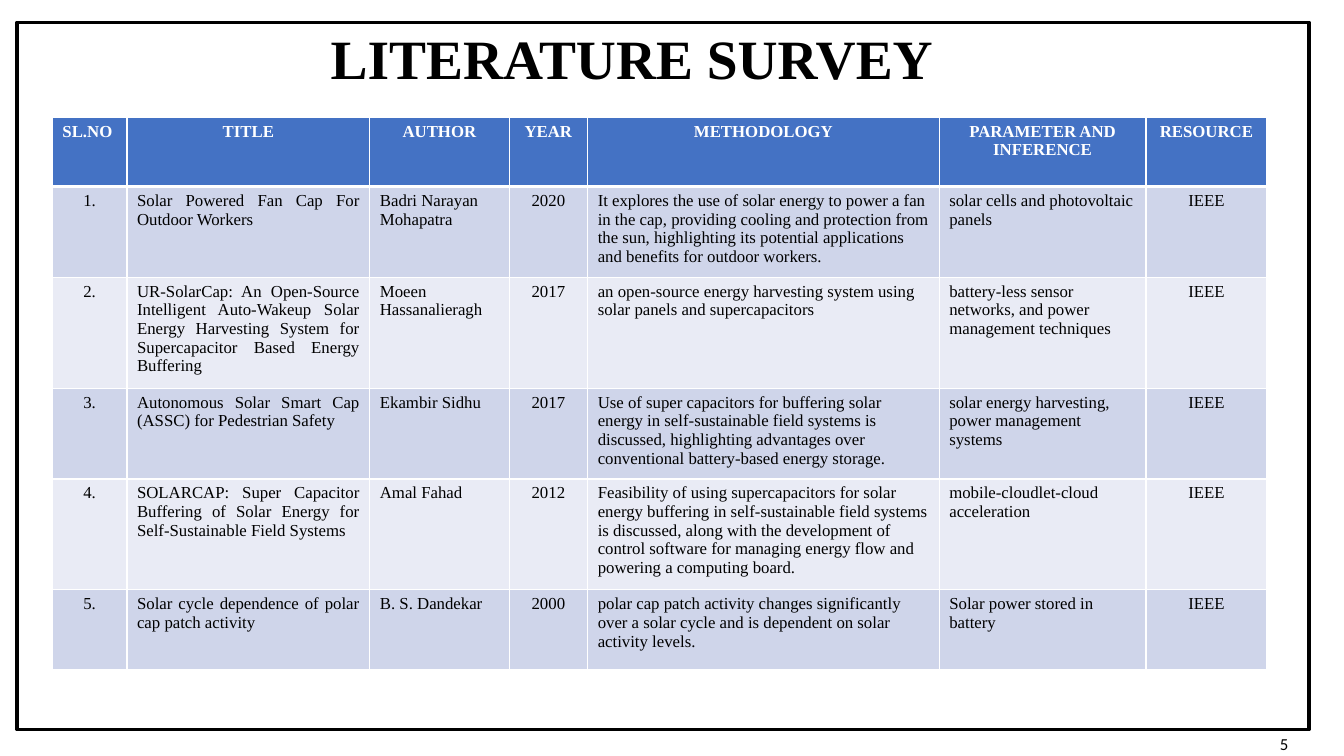
"""Build the literature survey slide with its framed table of papers."""
from dataclasses import astuple, dataclass

from lxml.etree import SubElement
from pptx import Presentation
from pptx.dml.color import RGBColor
from pptx.enum.shapes import MSO_SHAPE
from pptx.enum.text import MSO_ANCHOR, PP_ALIGN
from pptx.oxml.ns import qn
from pptx.slide import Slide
from pptx.table import _Cell
from pptx.text.text import TextFrame
from pptx.util import Cm, Pt

COLOURS = {
    "ink": "000000",
    "paper": "FFFFFF",
    "header": "4472C4",
    "odd": "CFD5EA",
    "even": "E9EBF5",
}
SERIF = "Times New Roman"
TITLE_FONT = {"name": SERIF, "size": Pt(39.6), "bold": True}
HEADER_FONT = {"name": SERIF, "size": Pt(12), "bold": True}
BODY_FONT = {"name": SERIF, "size": Pt(12), "bold": False}
NUMBER_FONT = {"name": "Calibri", "size": Pt(12), "bold": False}


@dataclass
class Column:
    heading: str
    width: float
    body_align: PP_ALIGN
    heading_align: PP_ALIGN = PP_ALIGN.CENTER


@dataclass
class Paper:
    number: str
    title: str
    author: str
    year: str
    methodology: str
    inference: str
    resource: str = "IEEE"


@dataclass
class Label:
    text: str
    left: float
    top: float
    width: float
    height: float
    align: PP_ALIGN
    font: dict
    line_spacing: float = 1.0


COLUMNS = [
    Column("SL.NO", 1.88, PP_ALIGN.CENTER, PP_ALIGN.LEFT),
    Column("TITLE", 6.12, PP_ALIGN.JUSTIFY),
    Column("AUTHOR", 3.51, PP_ALIGN.LEFT),
    Column("YEAR", 1.98, PP_ALIGN.CENTER),
    Column("METHODOLOGY", 8.86, PP_ALIGN.LEFT),
    Column("PARAMETER AND INFERENCE", 5.21, PP_ALIGN.LEFT),
    Column("RESOURCE", 3.05, PP_ALIGN.CENTER),
]
PAPERS = [
    Paper("1.", "Solar Powered Fan Cap For Outdoor Workers",
          "Badri Narayan Mohapatra", "2020",
          "It explores the use of solar energy to power a fan in the cap, "
          "providing cooling and protection from the sun, highlighting its "
          "potential applications and benefits for outdoor workers.",
          "solar cells and photovoltaic panels"),
    Paper("2.", "UR-SolarCap: An Open-Source Intelligent Auto-Wakeup Solar "
          "Energy Harvesting System for Supercapacitor Based Energy Buffering",
          "Moeen Hassanalieragh", "2017",
          "an open-source energy harvesting system using solar panels and "
          "supercapacitors",
          "battery-less sensor networks, and power management techniques"),
    Paper("3.", "Autonomous Solar Smart Cap (ASSC) for Pedestrian Safety",
          "Ekambir Sidhu", "2017",
          "Use of super capacitors for buffering solar energy in "
          "self-sustainable field systems is discussed, highlighting "
          "advantages over conventional battery-based energy storage.",
          "solar energy harvesting, power management systems"),
    Paper("4.", "SOLARCAP: Super Capacitor Buffering of Solar Energy for "
          "Self-Sustainable Field Systems",
          "Amal Fahad", "2012",
          "Feasibility of using supercapacitors for solar energy buffering in "
          "self-sustainable field systems is discussed, along with the "
          "development of control software for managing energy flow and "
          "powering a computing board.",
          "mobile-cloudlet-cloud acceleration"),
    Paper("5.", "Solar cycle dependence of polar cap patch activity",
          "B. S. Dandekar", "2000",
          "polar cap patch activity changes significantly over a solar cycle "
          "and is dependent on solar activity levels.",
          "Solar power stored in battery"),
]
LABELS = [
    Label("LITERATURE SURVEY", 1.32, 0.79, 29.21, 1.5, PP_ALIGN.CENTER, TITLE_FONT, 0.9),
    Label("5", 25.1, 18.42, 7.62, 0.66, PP_ALIGN.RIGHT, NUMBER_FONT),
]


def colour(name: str) -> RGBColor:
    return RGBColor.from_string(COLOURS[name])


def write(frame: TextFrame, text: str, align: PP_ALIGN, font: dict, ink: str = "ink") -> None:
    paragraph = frame.paragraphs[0]
    paragraph.alignment = align
    run = paragraph.add_run()
    run.text = text
    for attribute, value in font.items():
        setattr(run.font, attribute, value)
    run.font.color.rgb = colour(ink)


def add_label(slide: Slide, label: Label) -> None:
    box = slide.shapes.add_textbox(
        Cm(label.left), Cm(label.top), Cm(label.width), Cm(label.height))
    frame = box.text_frame
    frame.word_wrap = True
    frame.vertical_anchor = MSO_ANCHOR.MIDDLE
    write(frame, label.text, label.align, label.font)
    frame.paragraphs[0].line_spacing = label.line_spacing


def add_frame(slide: Slide) -> None:
    frame = slide.shapes.add_shape(
        MSO_SHAPE.RECTANGLE, Cm(0.43), Cm(0.56), Cm(32.56), Cm(17.83))
    frame.shadow.inherit = False
    frame.fill.background()
    frame.line.color.rgb = colour("ink")
    frame.line.width = Pt(2.25)


def add_borders(cell: _Cell, top: float, bottom: float) -> None:
    properties = cell._tc.get_or_add_tcPr()
    for side, points in {"L": 1, "R": 1, "T": top, "B": bottom}.items():
        border = SubElement(properties, qn(f"a:ln{side}"), w=str(Pt(points)))
        fill = SubElement(border, qn("a:solidFill"))
        SubElement(fill, qn("a:srgbClr"), val=COLOURS["paper"])


def add_survey(slide: Slide) -> None:
    width = sum(column.width for column in COLUMNS)
    table = slide.shapes.add_table(
        len(PAPERS) + 1, len(COLUMNS), Cm(1.32), Cm(2.95), Cm(width), Cm(11.8)).table
    texts = [[column.heading for column in COLUMNS], *map(astuple, PAPERS)]
    for index, row_texts in enumerate(texts):
        is_header = index == 0
        table.rows[index].height = Cm(1.75 if is_header else 2.01)
        band = "header" if is_header else ("even", "odd")[index % 2]
        font, ink = (HEADER_FONT, "paper") if is_header else (BODY_FONT, "ink")
        for position, (column, text) in enumerate(zip(COLUMNS, row_texts)):
            cell = table.cell(index, position)
            add_borders(cell, 3 if index == 1 else 1, 3 if is_header else 1)
            cell.fill.solid()
            cell.fill.fore_color.rgb = colour(band)
            align = column.heading_align if is_header else column.body_align
            write(cell.text_frame, text, align, font, ink)
    for table_column, column in zip(table.columns, COLUMNS):
        table_column.width = Cm(column.width)


def main() -> None:
    deck = Presentation()
    deck.slide_width, deck.slide_height = Cm(33.87), Cm(19.05)
    slide = deck.slides.add_slide(deck.slide_layouts[6])
    add_frame(slide)
    for label in LABELS:
        add_label(slide, label)
    add_survey(slide)
    deck.save("out.pptx")


if __name__ == "__main__":
    main()
